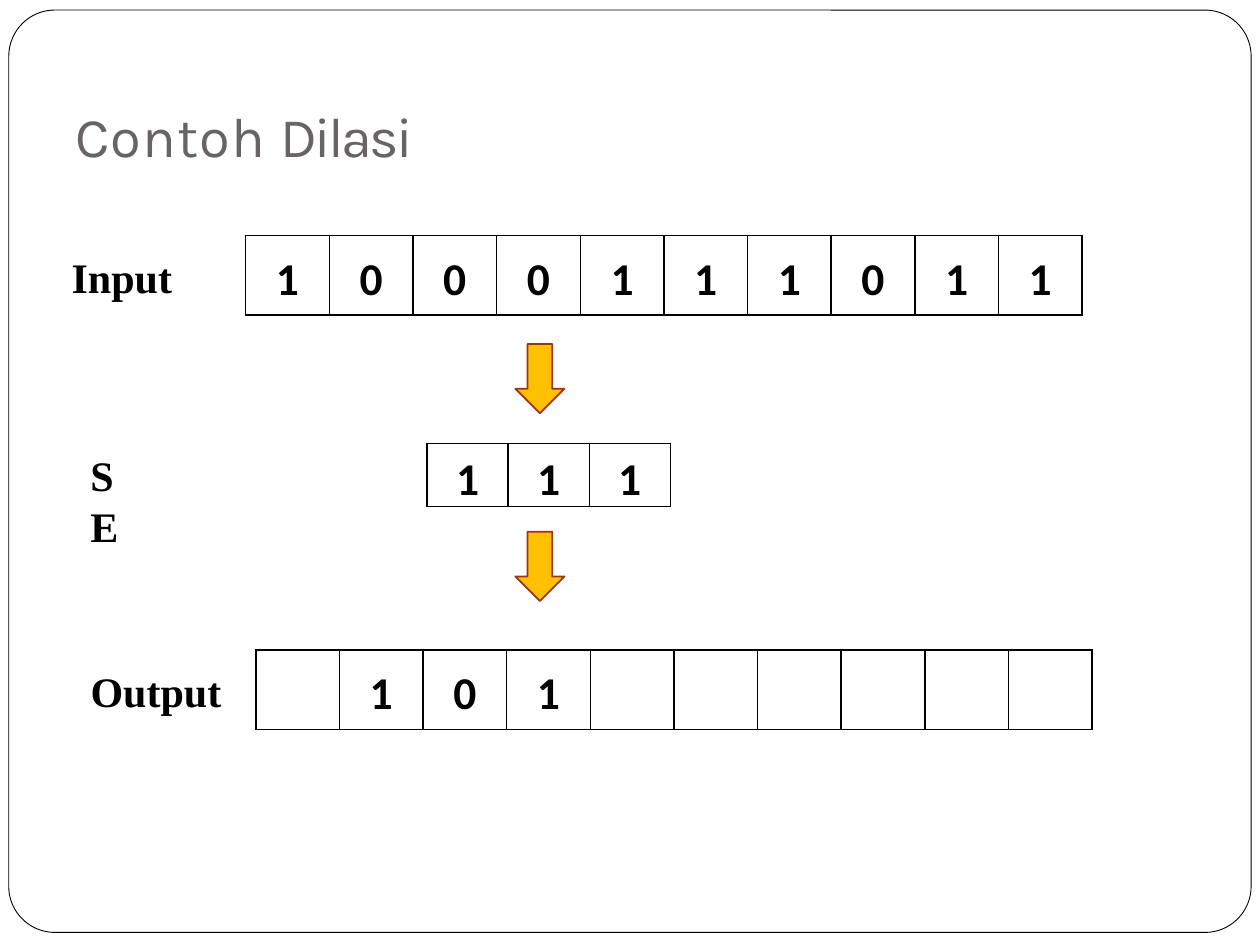
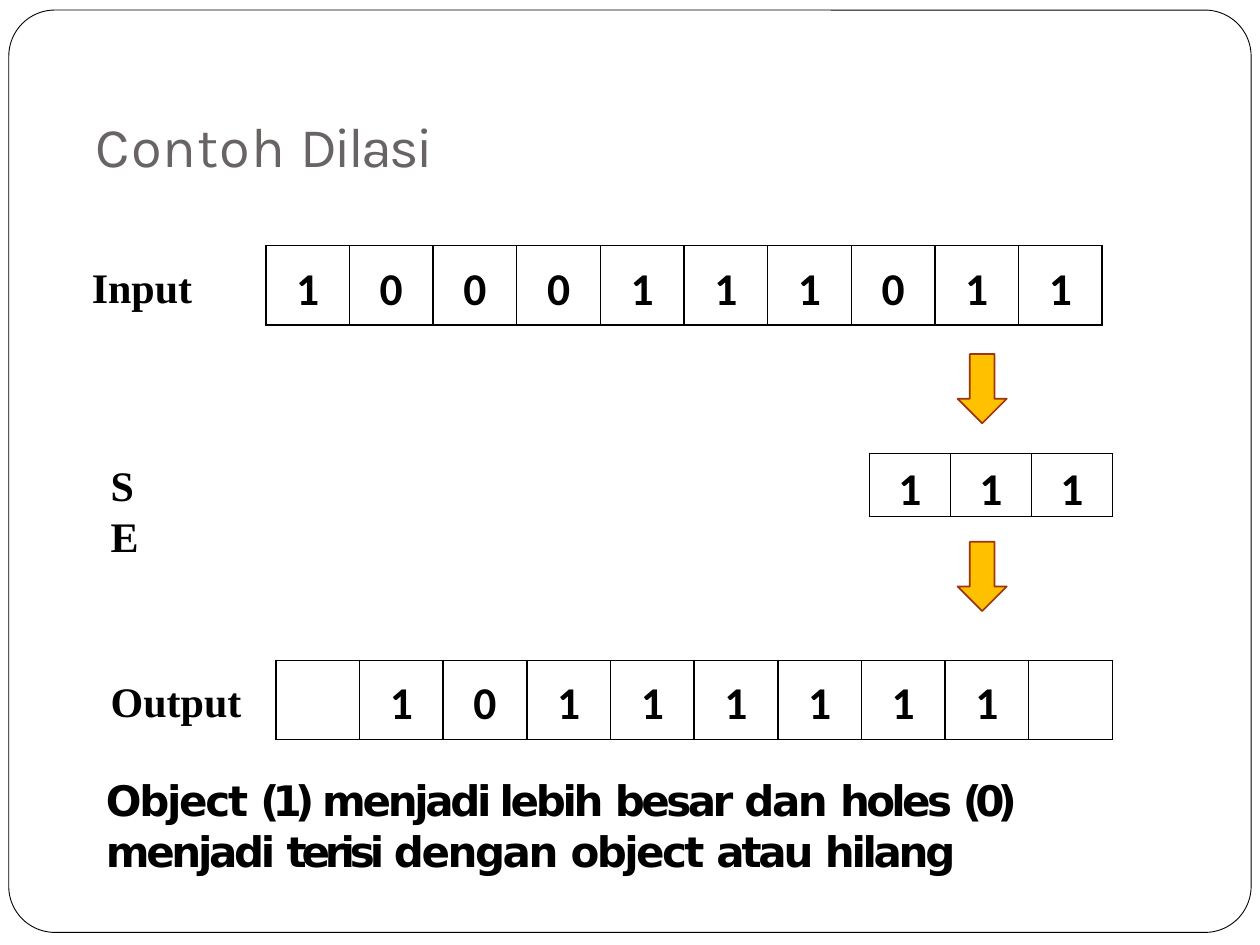
"""Builds two slides that step through a one-dimensional dilation."""
from lxml import etree
from pptx import Presentation
from pptx.dml.color import RGBColor
from pptx.enum import shapes, text
from pptx.oxml.ns import qn
from pptx.util import Inches, Pt

BLACK, WHITE, GREY = "000000", "FFFFFF", "696464"
AMBER, RUST = "FFC000", "9C3511"
INPUT = "1000111011"
ELEMENT = "111"
CONCLUSION = [
    ("Object ", -1.3), ("(1) ", -3.9), ("menjadi lebih ", -1.9), ("besar ", -2),
    ("dan ", -1.4), ("holes ", -2.1), ("(0) ", -3.9), ("menjadi ", -1.9),
    ("terisi ", -2.9), ("dengan ", -1.4), ("object ", -1.5), ("atau ", -1.8),
    ("hilang", -1.9),
]


def rgb(color):
    """Turn a hex string into a colour."""
    return RGBColor.from_string(color)


class Deck:
    """Holds the shared style and the current slide."""

    def __init__(self):
        """Start an empty 10 by 7.5 inch presentation."""
        self.prs = Presentation()
        self.prs.slide_width, self.prs.slide_height = Inches(10), Inches(7.5)
        self.s = None

    def font(self, p, name, size, color=BLACK, bold=False):
        """Set the font of a paragraph."""
        f = p.font
        f.name, f.size, f.bold = name, Pt(size), bold
        f.color.rgb = rgb(color)

    def spaced_runs(self, tf, runs):
        """Write runs with their own letter spacing and return the paragraph."""
        tf.margin_left = tf.margin_right = tf.margin_bottom = 0
        tf.margin_top = Inches(0.01)
        tf.word_wrap = True
        tf.auto_size = text.MSO_AUTO_SIZE.SHAPE_TO_FIT_TEXT
        p = tf.paragraphs[0]
        p.alignment = text.PP_ALIGN.LEFT
        for words, spacing in runs:
            r = p.add_run()
            r.text = words
            r.font._element.set("spc", str(round(spacing * 100)))
        return p

    def shape(self, kind, x, y, w, h, fill, line, weight):
        """Add a filled and outlined preset shape."""
        sp = self.s.shapes.add_shape(kind, Inches(x), Inches(y), Inches(w), Inches(h))
        sp.shadow.inherit = False
        sp.fill.solid()
        sp.fill.fore_color.rgb = rgb(fill)
        sp.line.color.rgb = rgb(line)
        sp.line.width = Pt(weight)
        return sp

    def slide(self, x, y):
        """Add a slide with its rounded frame and title."""
        self.s = self.prs.slides.add_slide(self.prs.slide_layouts[5])
        title = self.s.shapes.title
        frame = self.shape(shapes.MSO_SHAPE.ROUNDED_RECTANGLE,
                           0.07, 0.08, 9.86, 7.32, WHITE, BLACK, 0.5)
        frame.adjustments[0] = 0.05
        title.element.addprevious(frame.element)
        title.left, title.top = Inches(x), Inches(y)
        title.width, title.height = Inches(2.86), Inches(0.56)
        tf = title.text_frame
        tf.vertical_anchor = text.MSO_ANCHOR.BOTTOM
        p = self.spaced_runs(tf, [("Contoh ", 0.6), ("Dilasi", -1.6)])
        self.font(p, "Karla", 32, GREY)

    def label(self, words, x, y, w):
        """Add the bold name of a row; names of several words wrap."""
        sp = self.s.shapes.add_textbox(Inches(x), Inches(y), Inches(w), Inches(0.5))
        tf = sp.text_frame
        tf.word_wrap = " " in words
        tf.auto_size = text.MSO_AUTO_SIZE.SHAPE_TO_FIT_TEXT
        tf.text = words
        self.font(tf.paragraphs[0], "Times New Roman", 24, bold=True)

    def border(self, cell):
        """Draw a thin line on all four sides of a cell."""
        tc_pr = cell._tc.get_or_add_tcPr()
        for i, side in enumerate(("lnL", "lnR", "lnT", "lnB")):
            ln = etree.Element(qn(f"a:{side}"), w=str(Pt(1)))
            fill = etree.SubElement(ln, qn("a:solidFill"))
            etree.SubElement(fill, qn("a:srgbClr"), val=BLACK)
            tc_pr.insert(i, ln)

    def bits(self, values, x, y, w, h):
        """Add a one-row table with one character per cell."""
        table = self.s.shapes.add_table(
            1, len(values), Inches(x), Inches(y), Inches(w), Inches(h)).table
        table.first_row = table.horz_banding = False
        for cell, value in zip(table.rows[0].cells, values):
            cell.fill.background()
            self.border(cell)
            cell.margin_left = cell.margin_right = Inches(0.07)
            cell.margin_top = cell.margin_bottom = 0
            cell.vertical_anchor = text.MSO_ANCHOR.MIDDLE
            cell.text = value.strip()
            p = cell.text_frame.paragraphs[0]
            p.alignment = text.PP_ALIGN.CENTER
            p.line_spacing = 1.15
            self.font(p, "Calibri", 26, bold=True)

    def arrow(self, x, y):
        """Add a downward block arrow."""
        self.shape(shapes.MSO_SHAPE.DOWN_ARROW, x, y, 0.39, 0.55, AMBER, RUST, 1)

    def conclusion(self, runs, x, y):
        """Add the closing statement."""
        sp = self.s.shapes.add_textbox(Inches(x), Inches(y), Inches(7.21), Inches(0.83))
        p = self.spaced_runs(sp.text_frame, runs)
        self.font(p, "DejaVu Sans", 24, bold=True)

    def dilation(self, x, y, element_x, output):
        """Add a step: input, structuring element and output, from a top-left point."""
        self.slide(x, y)
        self.bits(INPUT, x + 1.35, y + 1.09, 6.64, 0.63)
        self.bits(ELEMENT, element_x, y + 2.74, 1.93, 0.5)
        self.bits(output, x + 1.43, y + 4.38, 6.64, 0.63)
        for dy in (1.95, 3.44):
            self.arrow(element_x + 0.7, y + dy)
        self.label("Input", x - 0.13, y + 1.17, 1.01)
        self.label("S E", x + 0.02, y + 2.74, 0.6)
        self.label("Output", x + 0.02, y + 4.45, 1.25)


def main():
    """Build and save both steps."""
    deck = Deck()
    deck.dilation(0.6, 0.78, 3.39, " 101      ")
    deck.dilation(0.76, 0.86, 6.9, " 10111111 ")
    deck.conclusion(CONCLUSION, 0.84, 6.14)
    deck.prs.save("out.pptx")


if __name__ == "__main__":
    main()
